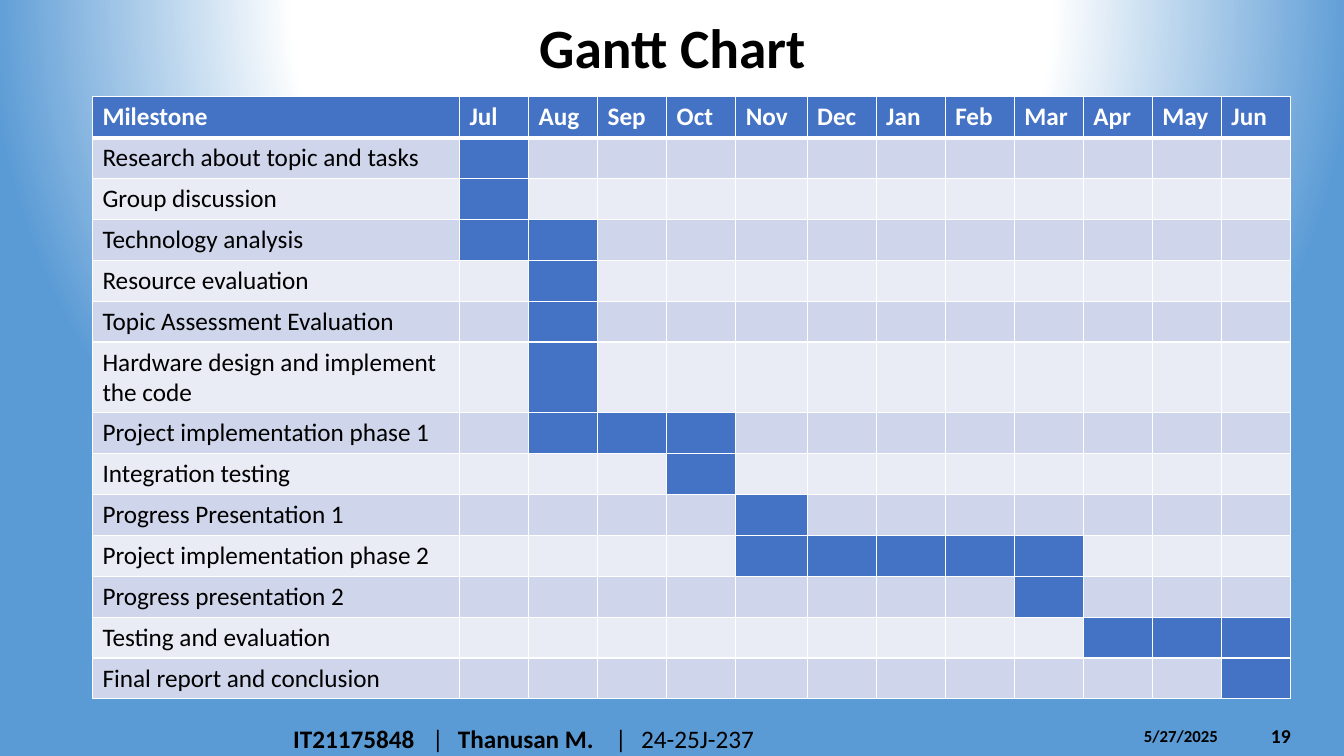
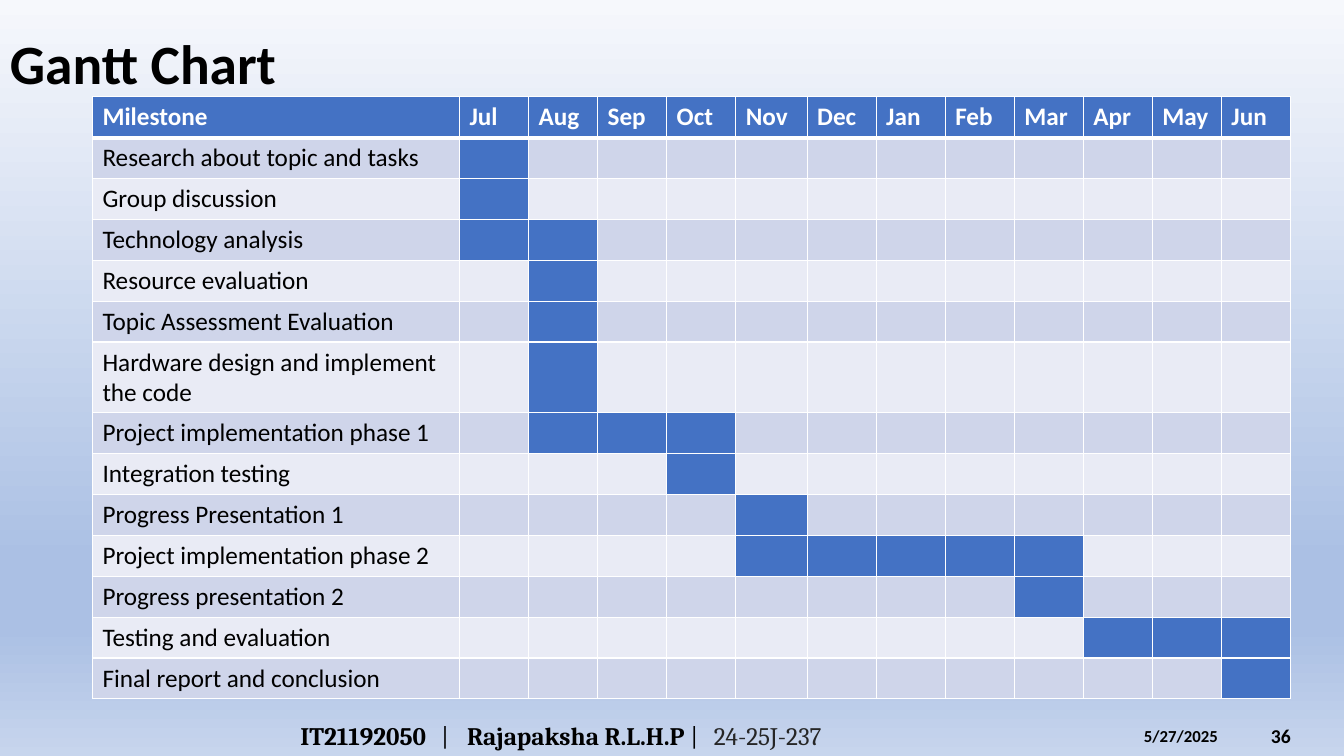
from pptx import Presentation
from pptx.dml.color import RGBColor as Rgb
from pptx.enum.text import MSO_ANCHOR as Anchor
from pptx.oxml import parse_xml
from pptx.oxml.ns import nsdecls
from pptx.util import Cm, Pt

HUES = {
    "ink": "000000", "soft": "262626", "white": "FFFFFF",
    "bar": "4472C4", "odd": "CFD5EA", "even": "E9EBF5",
    "sky": "5B9BD5", "mist": "F6F8FC", "haze": "ABC0E4", "pale": "C7D5ED",
}
MONTHS = ["Jul", "Aug", "Sep", "Oct", "Nov", "Dec",
          "Jan", "Feb", "Mar", "Apr", "May", "Jun"]
TASKS = [
    ("Research about topic and tasks", "Jul", "Jul"),
    ("Group discussion", "Jul", "Jul"),
    ("Technology analysis", "Jul", "Aug"),
    ("Resource evaluation", "Aug", "Aug"),
    ("Topic Assessment Evaluation", "Aug", "Aug"),
    ("Hardware design and implement the code", "Aug", "Aug"),
    ("Project implementation phase 1", "Aug", "Oct"),
    ("Integration testing", "Oct", "Oct"),
    ("Progress Presentation 1", "Nov", "Nov"),
    ("Project implementation phase 2", "Nov", "Mar"),
    ("Progress presentation 2", "Mar", "Mar"),
    ("Testing and evaluation", "Apr", "Jun"),
    ("Final report and conclusion", "Jun", "Jun"),
]
TITLE = "Gantt Chart"
DATE = "5/27/2025"
SLIDES = [
    {
        "page": "19", "title": (13.34, 0.08, 20.5),
        "stops": [(0, "white"), (49, "white"), (89, "sky")],
        "shade": '<a:path path="circle"><a:fillToRect l="50000" t="-80000"'
                 ' r="50000" b="180000"/></a:path>',
        "foot": (7.14, 18.11), "face": "Calibri",
        "tabs": [3.5, 4.15, 8.11, 8.77],
        "runs": [("IT21175848", True, "ink"), ("\t|\t", False, "ink"),
                 ("Thanusan M.", True, "ink"),
                 ("\t|\t24-25J-237", False, "ink")],
    },
    {
        "page": "36", "title": (0, 0.48, 32.46),
        "stops": [(0, "mist"), (74, "haze"), (83, "haze"), (100, "pale")],
        "shade": '<a:lin ang="5400000" scaled="1"/>',
        "foot": (7.32, 18.03), "face": "Cambria",
        "tabs": [3.55, 4.2, 10.42],
        "runs": [("IT21192050", True, "ink"), ("\t|\t", False, "ink"),
                 ("Rajapaksha R.L.H.P ", True, "ink"),
                 ("|\t", False, "ink"), ("24-25J-237", False, "soft")],
    },
]


def tint(name):
    return Rgb.from_string(HUES[name])


def style(font, size, bold=None, hue="ink", face="Calibri"):
    font.name, font.size, font.bold = face, Pt(size), bold
    font.color.rgb = tint(hue)


def paint(slide, stops, shade):
    marks = "".join(
        f'<a:gs pos="{pos * 1000}"><a:srgbClr val="{HUES[hue]}"/></a:gs>'
        for pos, hue in stops)
    slide.element.cSld.insert(0, parse_xml(
        f'<p:bg {nsdecls("p", "a")}><p:bgPr><a:gradFill rotWithShape="1">'
        f'<a:gsLst>{marks}</a:gsLst>{shade}</a:gradFill>'
        '<a:effectLst/></p:bgPr></p:bg>'))


def add_box(slide, place, anchor=Anchor.MIDDLE):
    frame = slide.shapes.add_textbox(*map(Cm, place)).text_frame
    frame.word_wrap = True
    frame.vertical_anchor = anchor
    return frame.paragraphs[0]


def add_text(slide, place, text, size, anchor=Anchor.MIDDLE):
    para = add_box(slide, place, anchor)
    para.text = text
    style(para.font, size, True)
    return para


def add_foot(slide, spec_row):
    left, top = spec_row["foot"]
    para = add_box(slide, (left, top, 18.92, 1.02))
    stops = "".join(f'<a:tab pos="{Cm(tab)}" algn="l"/>'
                    for tab in spec_row["tabs"])
    para._p.get_or_add_pPr().append(
        parse_xml(f'<a:tabLst {nsdecls("a")}>{stops}</a:tabLst>'))
    for text, bold, hue in spec_row["runs"]:
        run = para.add_run()
        run.text = text
        style(run.font, 18, bold, hue, spec_row["face"])


def edge(cell, row):
    props = cell._tc.get_or_add_tcPr()
    for side in "LRTB":
        thick = (row, side) in ((0, "B"), (1, "T"))
        props.append(parse_xml(
            f'<a:ln{side} {nsdecls("a")} w="{Pt(3 if thick else 1)}">'
            f'<a:solidFill><a:srgbClr val="{HUES["white"]}"/></a:solidFill>'
            f'</a:ln{side}>'))


def add_gantt(slide):
    rows = [["Milestone", *MONTHS]] + [[task[0]] for task in TASKS]
    cols = [9.25] + [1.8 if month == "Nov" else 1.74 for month in MONTHS]
    highs = [1.78 if len(row[0]) > 32 else 1.03 for row in rows]
    table = slide.shapes.add_table(
        len(rows), len(cols), Cm(2.33), Cm(2.44),
        Cm(sum(cols)), Cm(sum(highs))).table
    table.horz_banding = False
    for col, width in zip(table.columns, cols):
        col.width = Cm(width)
    for num, (row, high) in enumerate(zip(rows, highs)):
        table.rows[num].height = Cm(high)
        head = num == 0
        if head:
            busy = range(len(cols))
        else:
            first, last = map(MONTHS.index, TASKS[num - 1][1:])
            busy = range(first + 1, last + 2)
        band = "odd" if num % 2 else "even"
        for at in range(len(cols)):
            cell = table.cell(num, at)
            edge(cell, num)
            cell.fill.solid()
            cell.fill.fore_color.rgb = tint("bar" if at in busy else band)
            if at < len(row):
                cell.text = row[at]
                style(cell.text_frame.paragraphs[0].font, 18, head,
                      "white" if head else "ink")


def main():
    deck = Presentation()
    deck.slide_width, deck.slide_height = Cm(33.87), Cm(19.05)
    for item in SLIDES:
        slide = deck.slides.add_slide(deck.slide_layouts[6])
        paint(slide, item["stops"], item["shade"])
        add_text(slide, (31.78, 18.03, 1.88, 1.02), item["page"], 14)
        add_text(slide, (28.58, 18.16, 2.97, 0.76), DATE, 12, Anchor.TOP)
        title = add_text(slide, (*item["title"], 2.41), TITLE, 39.6)
        title.line_spacing = 0.9
        add_gantt(slide)
        add_foot(slide, item)
    deck.save("out.pptx")


if __name__ == "__main__":
    main()
